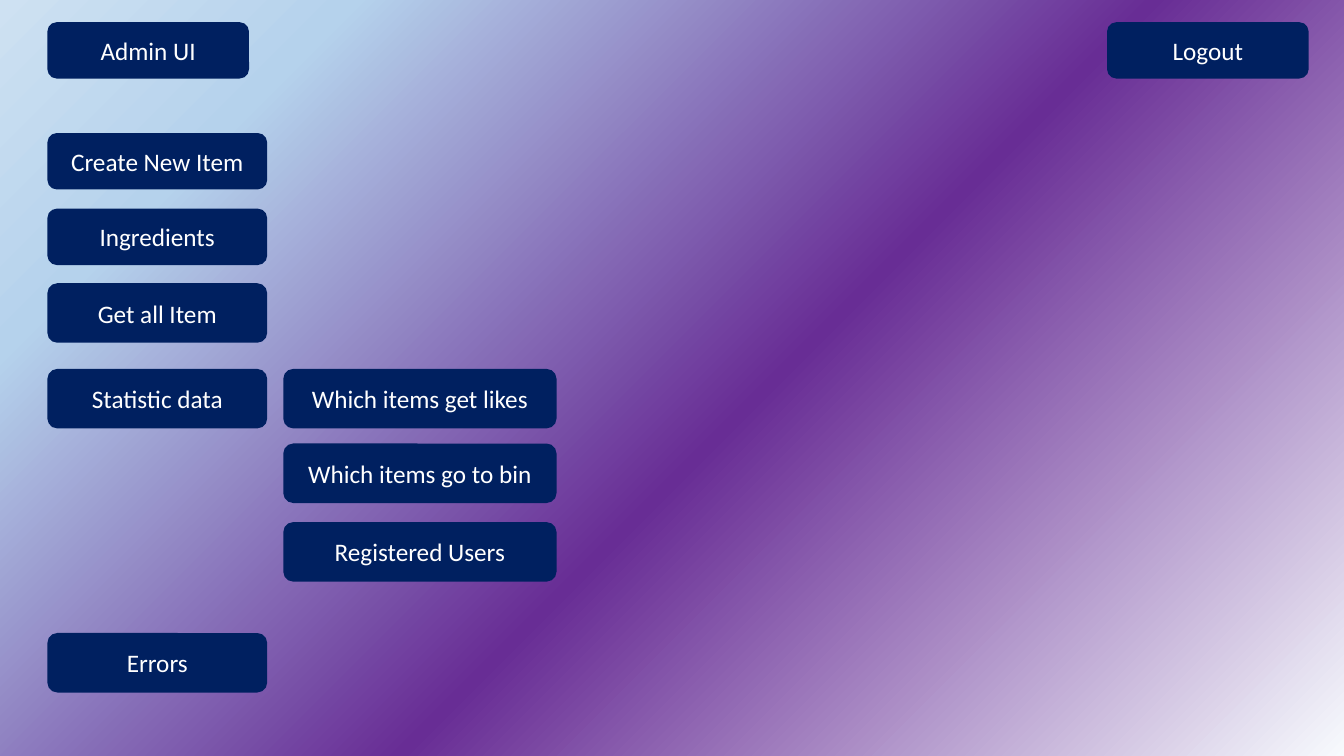
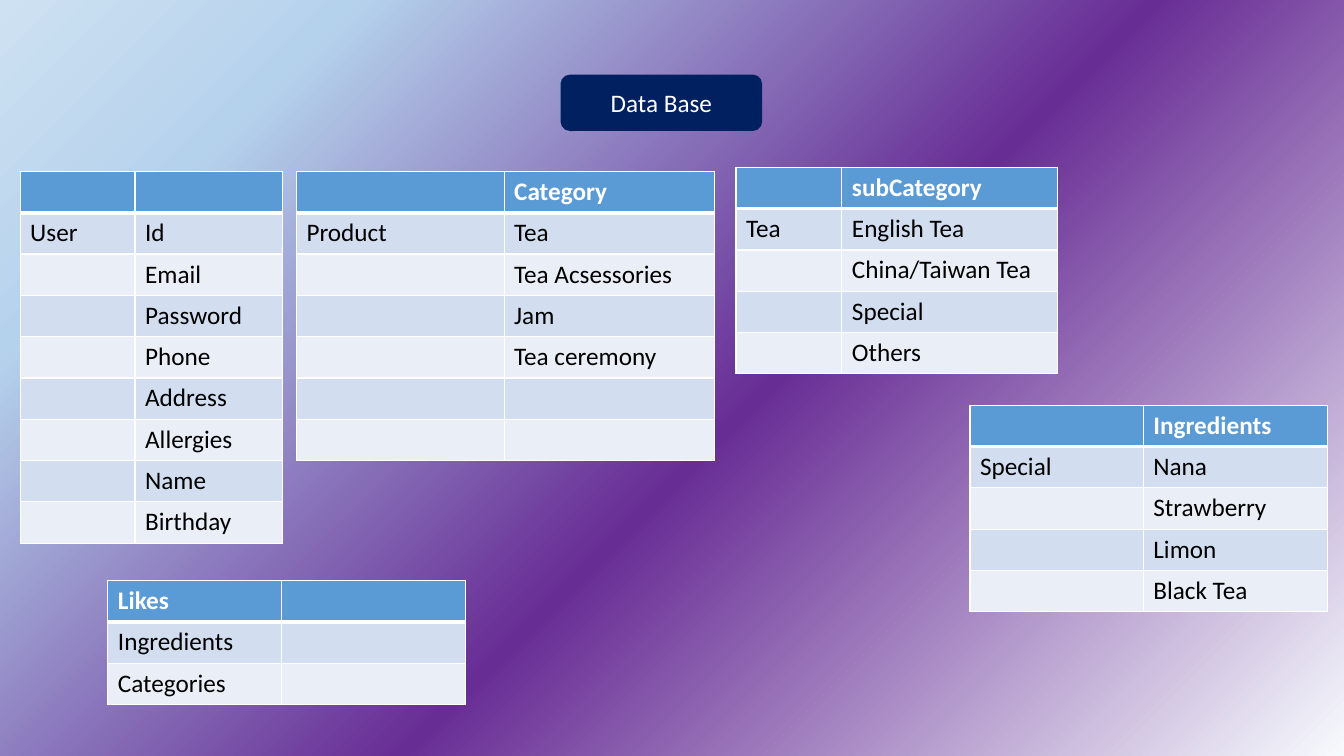
"""Build two slides: an admin menu and the tables of its data base."""
from lxml import etree
from pptx import Presentation
from pptx.dml.color import RGBColor
from pptx.enum.shapes import MSO_SHAPE as Shape
from pptx.enum.text import MSO_ANCHOR as Anchor, PP_ALIGN as Align
from pptx.oxml import parse_xml
from pptx.oxml.ns import qn
from pptx.util import Inches, Pt

NAVY = RGBColor(0x00, 0x20, 0x60)
WHITE = RGBColor(0xFF, 0xFF, 0xFF)
BLACK = RGBColor(0x00, 0x00, 0x00)
HEAD = RGBColor(0x5B, 0x9B, 0xD5)
BANDS = (RGBColor(0xEA, 0xEF, 0xF7), RGBColor(0xD2, 0xDE, 0xEF))
FONT = "Calibri"
ROW = 0.41
GLOW = """<a:gradFill xmlns:a="http://schemas.openxmlformats.org/drawingml/2006/main" rotWithShape="1">
  <a:gsLst>
    <a:gs pos="0"><a:srgbClr val="F7FAFD"/></a:gs>
    <a:gs pos="45000"><a:srgbClr val="682D95"><a:alpha val="68000"/></a:srgbClr></a:gs>
    <a:gs pos="83000"><a:srgbClr val="B5D2EC"/></a:gs>
    <a:gs pos="100000"><a:srgbClr val="CEE1F2"/></a:gs>
  </a:gsLst>
  <a:path path="circle"><a:fillToRect l="100000" t="100000"/></a:path>
  <a:tileRect r="-100000" b="-100000"/>
</a:gradFill>"""


def write(frame, text, color, bold=False):
    par = frame.paragraphs[0]
    run = par.add_run()
    run.text = text
    run.font.name = FONT
    run.font.size = Pt(18)
    run.font.bold = bold
    run.font.color.rgb = color
    return par


def button(slide, text, left, top, width, height):
    box = slide.shapes.add_shape(
        Shape.ROUNDED_RECTANGLE, Inches(left), Inches(top), Inches(width), Inches(height))
    box.shadow.inherit = False
    box.fill.solid()
    box.fill.fore_color.rgb = NAVY
    box.line.fill.background()
    box.text_frame.vertical_anchor = Anchor.MIDDLE
    write(box.text_frame, text, WHITE).alignment = Align.CENTER


deck = Presentation()
deck.slide_width = Inches(13.33)
deck.slide_height = Inches(7.5)
blank = deck.slide_layouts[6]

master = deck.slide_master
master.background.fill.gradient()
old = master.element.find(".//" + qn("p:bgPr")).find(qn("a:gradFill"))
old.getparent().replace(old, parse_xml(GLOW))

admin = deck.slides.add_slide(blank)
for text, left in (("Admin UI", 0.47), ("Logout", 10.98)):
    button(admin, text, left, 0.22, 2, 0.56)

menu = (
    ("Create New Item", 1.32, 0.56),
    ("Ingredients", 2.07, 0.56),
    ("Get all Item", 2.81, 0.59),
    ("Statistic data", 3.66, 0.59),
    ("Errors", 6.28, 0.59),
)
for text, top, height in menu:
    button(admin, text, 0.47, top, 2.18, height)

stats = (
    ("Which items get likes", 3.66),
    ("Which items go to bin", 4.4),
    ("Registered Users", 5.18),
)
for text, top in stats:
    button(admin, text, 2.81, top, 2.71, 0.59)

base = deck.slides.add_slide(blank)
button(base, "Data Base", 5.56, 0.74, 2, 0.56)

tables = (
    (0.2, 1.7, (1.14, 1.46),
     ("", "User", "", "", "", "", "", "", ""),
     ("", "Id", "Email", "Password", "Phone", "Address", "Allergies", "Name", "Birthday")),
    (2.94, 1.7, (2.06, 2.09),
     ("", "Product", "", "", "", "", ""),
     ("Category", "Tea", "Tea Acsessories", "Jam", "Tea ceremony", "", "")),
    (7.3, 1.66, (1.05, 2.14),
     ("", "Tea", "", "", ""),
     ("subCategory", "English Tea", "China/Taiwan Tea", "Special", "Others")),
    (9.62, 4.02, (1.72, 1.83),
     ("", "Special", "", "", ""),
     ("Ingredients", "Nana", "Strawberry", "Limon", "Black Tea")),
    (1.07, 5.76, (1.72, 1.83),
     ("Likes", "Ingredients", "Categories"),
     ("", "", "")),
)
for left, top, widths, *cols in tables:
    count = len(cols[0])
    grid = base.shapes.add_table(
        count, 2, Inches(left), Inches(top), Inches(sum(widths)), Inches(ROW * count)).table
    for row in grid.rows:
        row.height = Inches(ROW)
    for c, (width, words) in enumerate(zip(widths, cols)):
        grid.columns[c].width = Inches(width)
        for r, text in enumerate(words):
            cell = grid.cell(r, c)
            props = cell._tc.get_or_add_tcPr()
            for side in "LRTB":
                thick = (r, side) in ((0, "B"), (1, "T"))
                line = etree.SubElement(props, qn("a:ln" + side), w=str(Pt(3 if thick else 1)))
                fill = etree.SubElement(line, qn("a:solidFill"))
                etree.SubElement(fill, qn("a:srgbClr"), val=str(WHITE))
            cell.fill.solid()
            cell.fill.fore_color.rgb = BANDS[r % 2] if r else HEAD
            if text:
                write(cell.text_frame, text, BLACK if r else WHITE, r == 0)

deck.save("out.pptx")
